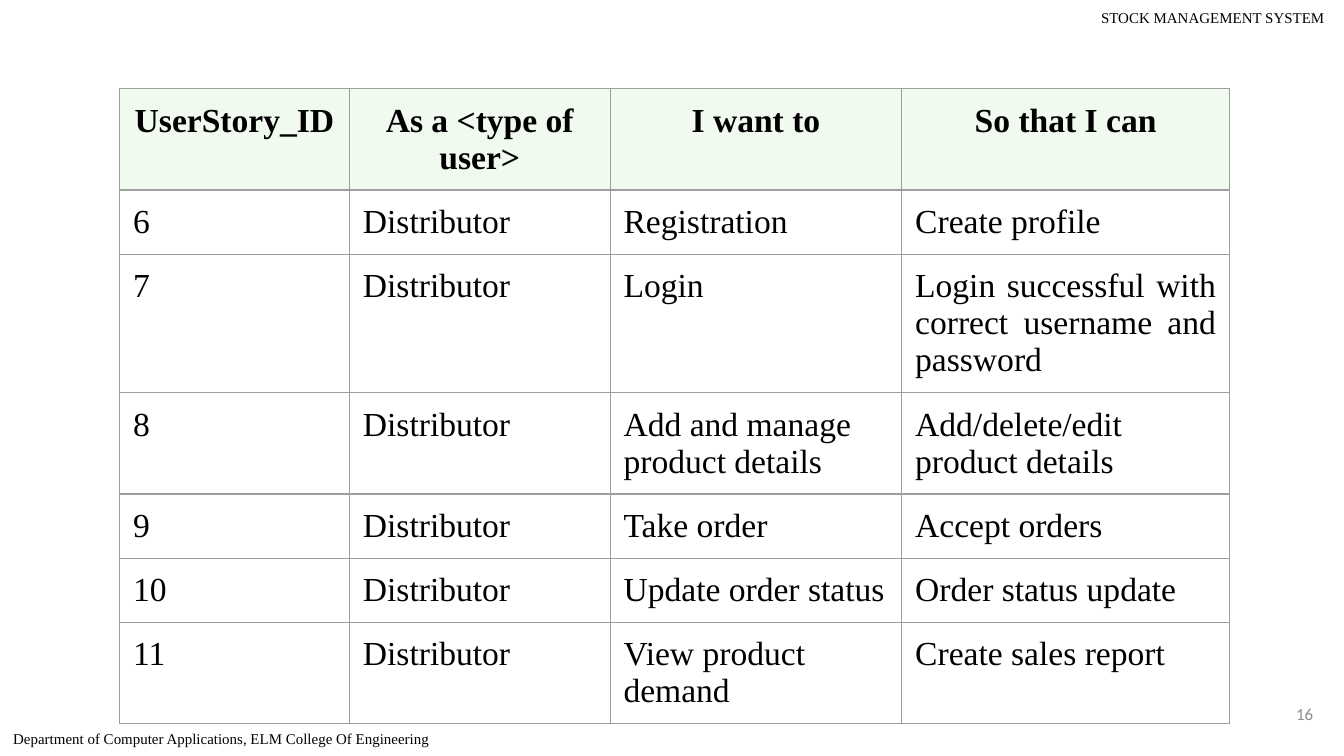
from lxml.etree import SubElement
from pptx import Presentation
from pptx.dml.color import RGBColor
from pptx.enum.text import MSO_ANCHOR, MSO_AUTO_SIZE, PP_ALIGN
from pptx.oxml.ns import qn
from pptx.util import Inches, Pt

HEADERS = ["UserStory_ID", "As a <type of user>", "I want to", "So that I can"]
USER = "Distributor"
STORIES = [
    ("6", "Registration", "Create profile"),
    ("7", "Login", "Login successful with correct username and password"),
    ("8", "Add and manage product details", "Add/delete/edit product details"),
    ("9", "Take order", "Accept orders"),
    ("10", "Update order status", "Order status update"),
    ("11", "View product demand", "Create sales report"),
]
JUSTIFIED = {"6", "7"}
COLUMN_WIDTHS = [1.71, 1.94, 2.17, 2.44]
ROW_HEIGHT = 0.42
TABLE_LEFT, TABLE_TOP = 0.89, 0.66
HEADER_FILL, BORDER = "F1FAEE", "9E9E9E"
SERIF = "Times New Roman"
LABELS = [
    ("STOCK MANAGEMENT SYSTEM", (6.57, 0, 4.91, 0.34), PP_ALIGN.CENTER,
     {"vertical_anchor": MSO_ANCHOR.TOP, "auto_size": MSO_AUTO_SIZE.SHAPE_TO_FIT_TEXT},
     {"name": SERIF, "size": Pt(8)}, "000000"),
    ("Department of Computer Applications, ELM College Of Engineering",
     (0, 5.36, 5.47, 0.47), PP_ALIGN.LEFT,
     {"vertical_anchor": MSO_ANCHOR.TOP, "auto_size": MSO_AUTO_SIZE.SHAPE_TO_FIT_TEXT},
     {"name": SERIF, "size": Pt(8)}, "000000"),
    ("16", (9.27, 5.1, 0.6, 0.43), PP_ALIGN.RIGHT,
     {"vertical_anchor": MSO_ANCHOR.MIDDLE, "auto_size": MSO_AUTO_SIZE.NONE},
     {"name": "Calibri", "size": Pt(9)}, "8C8C8C"),
]


def color(value):
    return RGBColor.from_string(value)


def set_attributes(target, values):
    for name, value in values.items():
        setattr(target, name, value)


def set_margins(target):
    for side in ("left", "top", "right", "bottom"):
        setattr(target, f"margin_{side}", Inches(0.1))


def write(text_frame, text, alignment, font_format, font_color):
    paragraph = text_frame.paragraphs[0]
    paragraph.alignment = alignment
    run = paragraph.add_run()
    run.text = text
    set_attributes(run.font, font_format)
    run.font.color.rgb = color(font_color)


def add_borders(cell):
    properties = cell._tc.get_or_add_tcPr()
    for position, side in enumerate(("lnL", "lnR", "lnT", "lnB")):
        line = SubElement(properties, qn(f"a:{side}"), w=str(Pt(0.75)))
        fill = SubElement(line, qn("a:solidFill"))
        SubElement(fill, qn("a:srgbClr"), val=BORDER)
        properties.insert(position, line)


def add_table(slide):
    rows = [HEADERS] + [(number, USER, want, goal) for number, want, goal in STORIES]
    table = slide.shapes.add_table(
        len(rows), len(HEADERS), Inches(TABLE_LEFT), Inches(TABLE_TOP),
        Inches(sum(COLUMN_WIDTHS)), Inches(ROW_HEIGHT * len(rows))).table
    table.horz_banding = False
    for column, width in zip(table.columns, COLUMN_WIDTHS):
        column.width = Inches(width)
    for row_index, row in enumerate(rows):
        table.rows[row_index].height = Inches(ROW_HEIGHT)
        for column_index, text in enumerate(row):
            cell = table.cell(row_index, column_index)
            set_margins(cell)
            is_header = row_index == 0
            if is_header:
                cell.fill.solid()
                cell.fill.fore_color.rgb = color(HEADER_FILL)
                alignment = PP_ALIGN.CENTER
            else:
                cell.fill.background()
                is_last = column_index == len(row) - 1
                justified = is_last and row[0] in JUSTIFIED
                alignment = PP_ALIGN.JUSTIFY if justified else PP_ALIGN.LEFT
            add_borders(cell)
            font_format = {"name": SERIF, "size": Pt(18), "bold": is_header}
            write(cell.text_frame, text, alignment, font_format, "000000")


def add_label(slide, text, box, alignment, frame_format, font_format, font_color):
    text_frame = slide.shapes.add_textbox(*map(Inches, box)).text_frame
    text_frame.word_wrap = True
    set_attributes(text_frame, frame_format)
    set_margins(text_frame)
    write(text_frame, text, alignment, font_format, font_color)


presentation = Presentation()
presentation.slide_width = Inches(10)
presentation.slide_height = Inches(10 * 9 / 16)
slide = presentation.slides.add_slide(presentation.slide_layouts[6])
add_table(slide)
for label in LABELS:
    add_label(slide, *label)
presentation.save("out.pptx")
